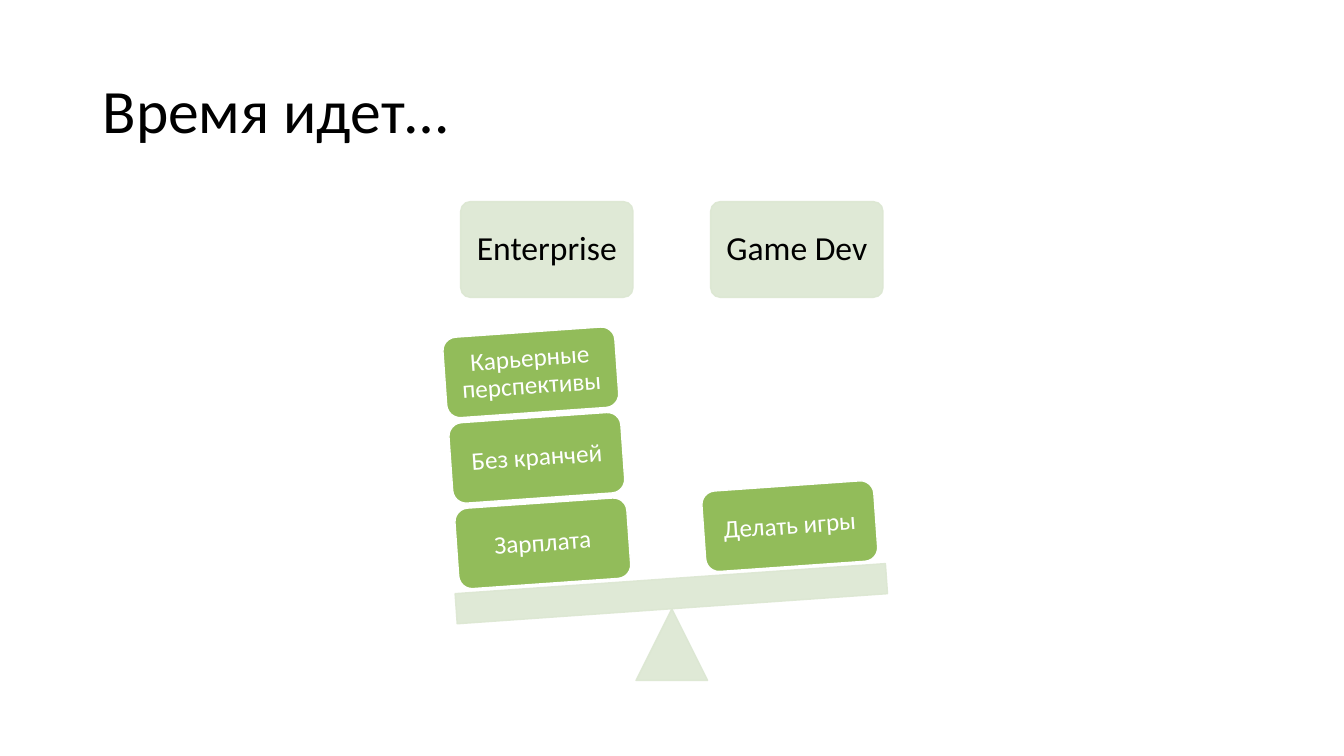
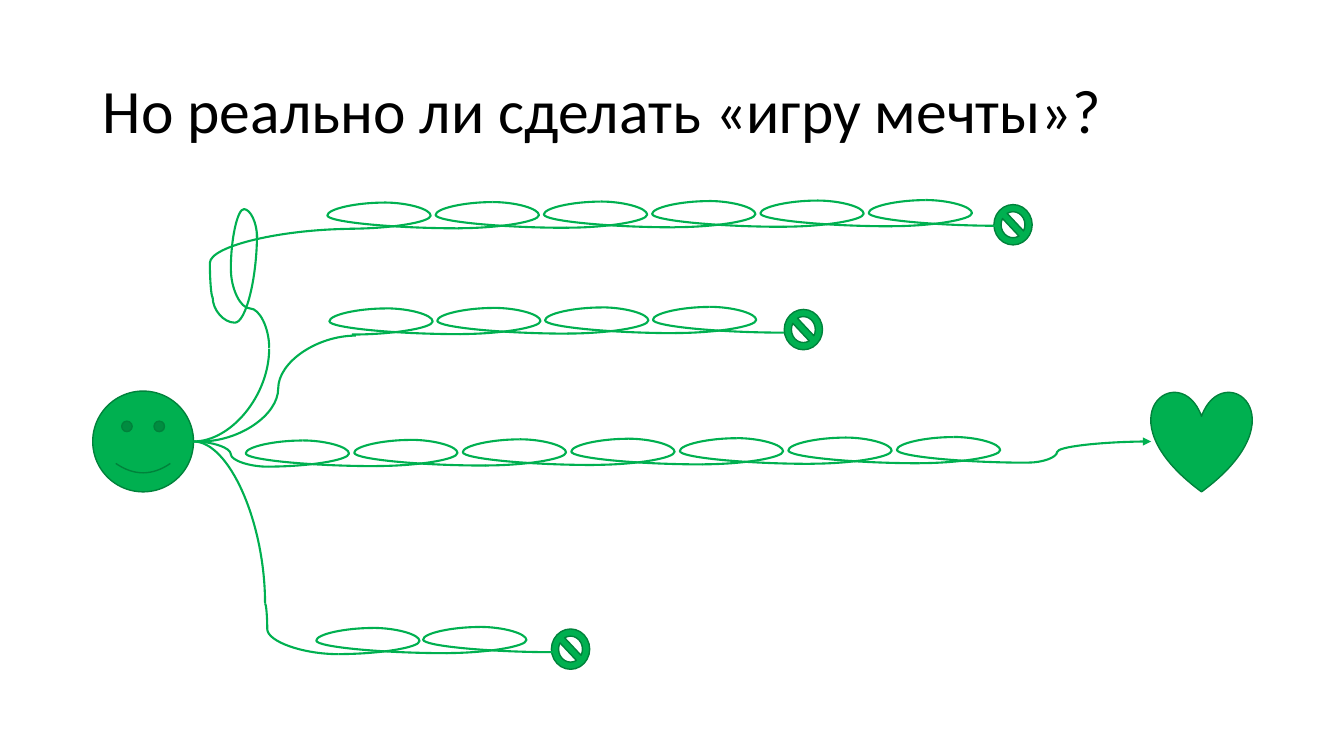
from dataclasses import dataclass
from math import cos, radians, sin
from typing import NamedTuple

from lxml.etree import SubElement
from pptx import Presentation
from pptx.dml.color import RGBColor
from pptx.enum.shapes import MSO_CONNECTOR as Link, MSO_SHAPE as Shape
from pptx.enum.text import MSO_ANCHOR as Anchor, MSO_AUTO_SIZE as AutoSize, PP_ALIGN as Align
from pptx.oxml.ns import qn
from pptx.util import Inches, Pt


@dataclass(frozen=True)
class Theme:
    font: str = "Calibri"
    ink: str = "000000"
    white: str = "FFFFFF"
    pale: str = "DCE7D2"
    tile: str = "92BC5A"
    green: str = "00B050"
    edge: str = "00823B"
    title_size: int = 44
    head_size: int = 24
    tile_size: int = 18
    outline: float = 1
    trail: float = 1.5
    pale_alpha: int = 90


class Point(NamedTuple):
    x: float
    y: float


class Box(NamedTuple):
    """Left, top, width and height in grid cells."""
    x: float
    y: float
    w: float
    h: float


class Curve(NamedTuple):
    """A curved line; turn rotates its frame, and bend None makes a quarter arc."""
    start: Point
    end: Point
    bend: float | None = 0.5
    turn: int = 0
    arrow: bool = False


class Trail(NamedTuple):
    """A chain of equal loops from start to end."""
    start: Point
    end: Point
    loops: int


class Stack(NamedTuple):
    heading: str
    head_x: float
    base: Point
    tiles: tuple[str, ...]


THEME = Theme()
CELL = Inches(0.1)
COLS, ROWS = 133.33, 75
TITLE = Box(9.2, 4, 115, 14.5)

TILT = -4
TILE_W, TILE_H, TILE_STEP = 17.1, 8, 8.5
HEAD_Y, HEAD_H = 20, 9.5
STACKS = (
    Stack("Enterprise", 45.7, Point(45.3, 49.9),
          ("Зарплата", "Без кранчей", "Карьерные перспективы")),
    Stack("Game Dev", 70.5, Point(69.8, 48.2), ("Делать игры",)),
)

LOOP_W, LOOP_TOP, LOOP_H = 10.8, 3.4, 2.6
RISE_BEND, FALL_BEND = 2.36, 1.76
FACE = Box(9.2, 38.8, 10, 10)
HEART = Box(114.2, 38.8, 10, 10)
ORIGIN = Point(19.2, 43.8)
STOPS = (Point(98.6, 20.3), Point(77.8, 30.7), Point(54.7, 62.4))
STOP_W, STOP_H = 3.8, 4
TRAILS = (
    Trail(Point(26.6, 46.3), Point(102, 45.9), 7),
    Trail(Point(34.7, 22.7), Point(99.2, 22.4), 6),
    Trail(Point(34.9, 33.2), Point(77.8, 33), 4),
    Trail(Point(33.6, 64.9), Point(55, 64.7), 2),
)
CURVES = (
    Curve(ORIGIN, TRAILS[0].start),
    Curve(TRAILS[0].end, Point(114.2, 43.8), 0.235, arrow=True),
    Curve(ORIGIN, Point(26.7, 34.6), None),
    Curve(Point(22.9, 26.7), Point(26.7, 34.5), turn=270),
    Curve(Point(22.9, 26.7), Point(25.5, 23.5), 1.86, 90),
    Curve(Point(21.1, 29.5), Point(25.5, 23.2), -0.4, 90),
    Curve(Point(21.1, 29.5), Point(35.2, 22.7), -0.02),
    Curve(Point(19.9, 43.8), Point(35.3, 33.3)),
    Curve(ORIGIN, Point(26.3, 59.9), None),
    Curve(Point(26.3, 59.9), TRAILS[3].start, 0.03),
)


def cells(*values: float) -> list[int]:
    return [round(v * CELL) for v in values]


def rgb(color: str) -> RGBColor:
    return RGBColor.from_string(color)


def write(sp, text: str, *, size: float, color: str = THEME.ink,
          align: Align = Align.CENTER, inset: tuple[float, float] = (0.1, 0.1)) -> None:
    tf = sp.text_frame
    tf.word_wrap = True
    tf.auto_size = AutoSize.NONE
    tf.vertical_anchor = Anchor.MIDDLE
    tf.margin_left = tf.margin_right = Inches(inset[0])
    tf.margin_top = tf.margin_bottom = Inches(inset[1])
    p = tf.paragraphs[0]
    p.alignment = align
    p.line_spacing = 0.9
    r = p.add_run()
    r.text = text
    r.font.name = THEME.font
    r.font.size = Pt(size)
    r.font.color.rgb = rgb(color)


def add_shape(slide, kind: Shape, box: Box, fill: str, line: str,
              rotation: float = 0, alpha: int = 100):
    sp = slide.shapes.add_shape(kind, *cells(*box))
    sp.shadow.inherit = False
    sp.rotation = rotation
    sp.fill.solid()
    sp.fill.fore_color.rgb = rgb(fill)
    sp.line.color.rgb = rgb(line)
    sp.line.width = Pt(THEME.outline)
    if alpha < 100:
        for color in sp._element.spPr.iter(qn("a:srgbClr")):
            SubElement(color, qn("a:alpha"), val=str(alpha * 1000))
    return sp


def add_pale(slide, kind: Shape, box: Box, rotation: float = 0):
    return add_shape(slide, kind, box, THEME.pale, THEME.pale, rotation, THEME.pale_alpha)


def add_curve(slide, curve: Curve) -> None:
    (x1, y1), (x2, y2) = curve.start, curve.end
    dx, dy = x2 - x1, y2 - y1
    # Turn the span back, so that the rotated frame meets both ends.
    u, v = {0: (dx, dy), 90: (dy, -dx), 180: (-dx, -dy), 270: (-dy, dx)}[curve.turn]
    cx, cy = (x1 + x2) / 2, (y1 + y2) / 2
    c = slide.shapes.add_connector(
        Link.CURVE, *cells(cx - u / 2, cy - v / 2, cx + u / 2, cy + v / 2))
    c.line.color.rgb = rgb(THEME.green)
    c.line.width = Pt(THEME.trail)
    props = c._element.spPr
    if curve.turn:
        props.find(qn("a:xfrm")).set("rot", str(curve.turn * 60000))
    geom = props.find(qn("a:prstGeom"))
    if curve.bend is None:
        geom.set("prst", "curvedConnector2")
    else:
        SubElement(geom.find(qn("a:avLst")), qn("a:gd"),
                   name="adj1", fmla=f"val {round(curve.bend * 100000)}")
    if curve.arrow:
        SubElement(props.find(qn("a:ln")), qn("a:tailEnd"), type="triangle")
    SubElement(props, qn("a:effectLst"))


def add_trail(slide, trail: Trail) -> None:
    (x1, y1), (x2, y2) = trail.start, trail.end
    pitch = (x2 - x1 - LOOP_W) / (trail.loops - 1)
    drift = (y2 - y1) / trail.loops
    for i in range(trail.loops):
        x, y = x1 + i * pitch, y1 + i * drift
        top = Point(x + LOOP_TOP, y - LOOP_H)
        add_curve(slide, Curve(Point(x, y), top, RISE_BEND))
        add_curve(slide, Curve(Point(x + LOOP_W, y + drift), top, FALL_BEND, 180))


def add_titled_slide(prs, title: str):
    slide = prs.slides.add_slide(prs.slide_layouts[5])
    write(slide.shapes.title, title, size=THEME.title_size,
          align=Align.LEFT, inset=(0.1, 0.05))
    return slide


def add_stack(slide, stack: Stack) -> None:
    """Draw a heading and its tiles, piled square to the tilted beam."""
    head = add_pale(slide, Shape.ROUNDED_RECTANGLE,
                    Box(stack.head_x, HEAD_Y, TILE_W, HEAD_H))
    head.adjustments[0] = 0.1
    write(head, stack.heading, size=THEME.head_size)
    angle = radians(TILT)
    for i, text in enumerate(stack.tiles):
        box = Box(stack.base.x + i * TILE_STEP * sin(angle),
                  stack.base.y - i * TILE_STEP * cos(angle), TILE_W, TILE_H)
        sp = add_shape(slide, Shape.ROUNDED_RECTANGLE, box, THEME.tile, THEME.white, TILT)
        write(sp, text, size=THEME.tile_size, color=THEME.white, inset=(0.07, 0.07))


def build_balance(prs) -> None:
    slide = add_titled_slide(prs, "Время идет…")
    add_pale(slide, Shape.ISOSCELES_TRIANGLE, Box(63.1, 60.4, 7.1, 7.1))
    add_pale(slide, Shape.RECTANGLE, Box(45.2, 57.4, 42.8, 3), TILT)
    for stack in STACKS:
        add_stack(slide, stack)


def build_paths(prs) -> None:
    slide = add_titled_slide(prs, "Но реально ли сделать «игру мечты»?")
    marks = [(Shape.SMILEY_FACE, FACE), (Shape.HEART, HEART)]
    marks += [(Shape.NO_SYMBOL, Box(*stop, STOP_W, STOP_H)) for stop in STOPS]
    for kind, box in marks:
        add_shape(slide, kind, box, THEME.green, THEME.edge)
    for curve in CURVES:
        add_curve(slide, curve)
    for trail in TRAILS:
        add_trail(slide, trail)


def main() -> None:
    prs = Presentation()
    prs.slide_width, prs.slide_height = cells(COLS, ROWS)
    title = prs.slide_layouts[5].placeholders[0]
    title.left, title.top, title.width, title.height = cells(*TITLE)
    build_balance(prs)
    build_paths(prs)
    prs.save("out.pptx")


if __name__ == "__main__":
    main()
